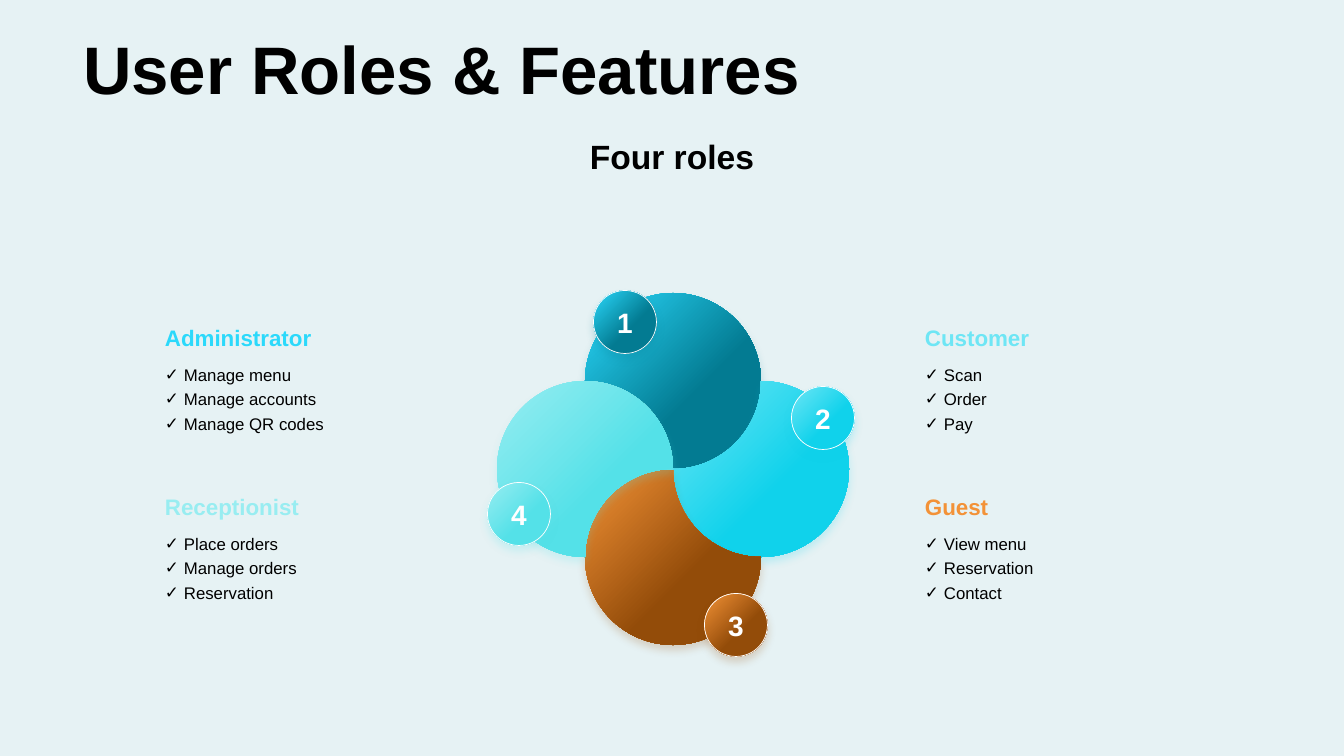
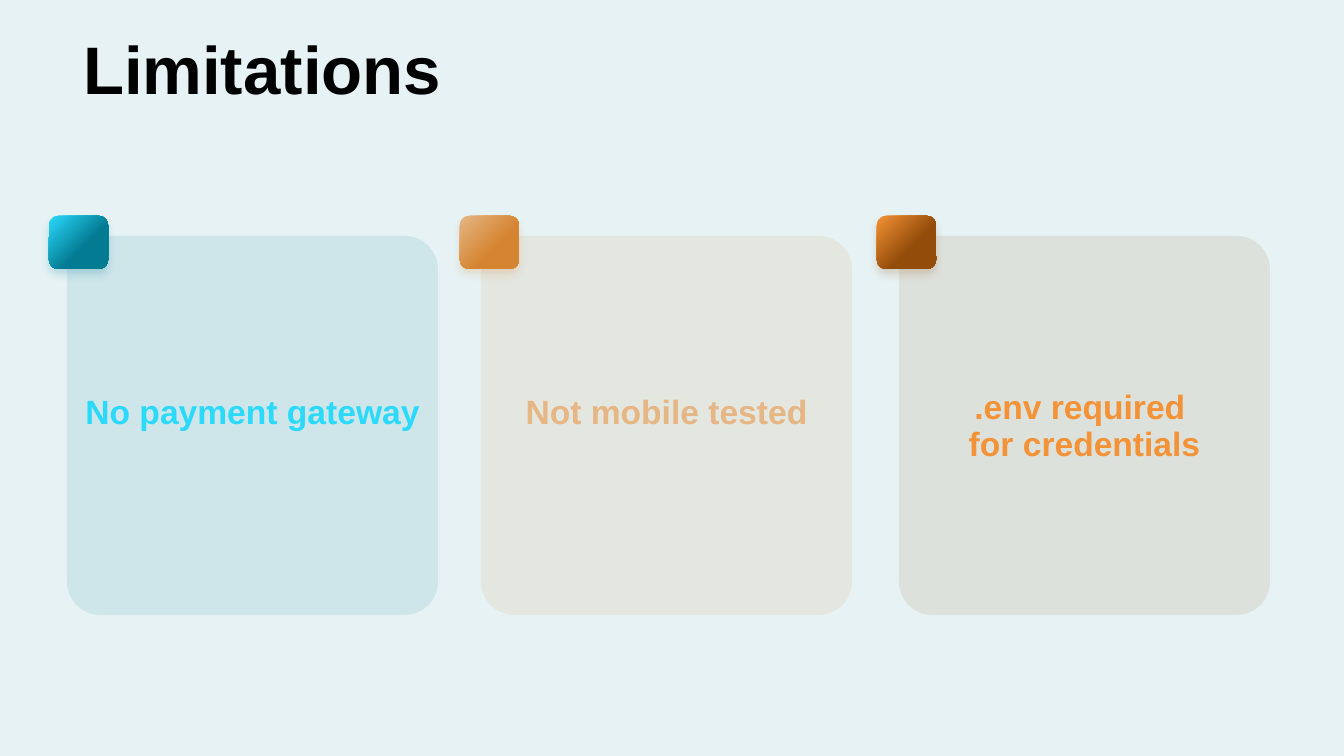
from dataclasses import dataclass
from math import cos, radians, sin

from lxml.etree import SubElement
from pptx import Presentation
from pptx.dml.color import RGBColor
from pptx.enum.shapes import MSO_SHAPE
from pptx.enum.text import MSO_ANCHOR, MSO_AUTO_SIZE, PP_ALIGN
from pptx.oxml import parse_xml
from pptx.oxml.ns import nsdecls, qn
from pptx.util import Pt

EMU_PER_PX = 12192000 / 1344
FONT = "Arial"
COLORS = {"background": "E6F2F4", "text": "000000", "white": "FFFFFF"}
GRADIENTS = {
    "teal": ("2BD9FB", "037B92"),
    "cyan": ("6EE6F5", "10D2EB"),
    "orange": ("F39237", "934C09"),
    "aqua": ("98EDF1", "54E1E8"),
    "sand": ("E6B684", "D58532"),
}


@dataclass
class Role:
    name: str
    features: tuple
    gradient: str
    text_at: tuple
    badge_offset: tuple  # badge centre, from the pinwheel centre


LEFT, RIGHT, UPPER, LOWER = 155, 915, 301, 470
ROLES = [  # clockwise from the top petal
    Role("Administrator", ("Manage menu", "Manage accounts", "Manage QR codes"),
         "teal", (LEFT, UPPER), (-48, -147)),
    Role("Customer", ("Scan", "Order", "Pay"),
         "cyan", (RIGHT, UPPER), (150, -51)),
    Role("Guest", ("View menu", "Reservation", "Contact"),
         "orange", (RIGHT, LOWER), (63, 156)),
    Role("Receptionist", ("Place orders", "Manage orders", "Reservation"),
         "aqua", (LEFT, LOWER), (-154, 45)),
]
LIMITATIONS = [  # card left, tab left, gradient, lines
    (67, 49, "teal", ["No payment gateway"]),
    (481, 460, "sand", ["Not mobile tested"]),
    (899, 877, "orange", [".env required ", "for credentials"]),
]


def px(length):
    return round(length * EMU_PER_PX)


def rgb(color):
    return RGBColor.from_string(color)


def style_text(frame, size, color, bold=False, align=PP_ALIGN.LEFT, spacing=None):
    for paragraph in frame.paragraphs:
        paragraph.alignment = align
        if spacing:
            paragraph.line_spacing = spacing
        for run in paragraph.runs:
            run.font.name = FONT
            run.font.size = Pt(size)
            run.font.bold = bold
            run.font.color.rgb = rgb(color)


def add_text(slide, box, lines, anchor=MSO_ANCHOR.TOP, wrap=True):
    frame = slide.shapes.add_textbox(*map(px, box)).text_frame
    frame.text = "\n".join(lines)
    frame.word_wrap = wrap
    frame.vertical_anchor = anchor
    return frame


def add_check_bullets(frame):
    for paragraph in frame.paragraphs:
        properties = paragraph._p.get_or_add_pPr()
        properties.set("marL", str(px(19)))
        properties.set("indent", str(-px(19)))
        SubElement(properties, qn("a:buFont")).set("typeface", FONT)
        SubElement(properties, qn("a:buChar")).set("char", "✓")


def apply_glow(shape, gradient):
    """Fill with a diagonal gradient and cast a soft shadow in its end colour."""
    shape.fill.gradient()
    shape.fill.gradient_angle = 315
    for stop, position, color in zip(shape.fill.gradient_stops, (0, 0.6), GRADIENTS[gradient]):
        stop.position = position
        stop.color.rgb = rgb(color)
    shape.line.fill.background()
    shape.shadow.inherit = False
    shape._element.spPr.find(qn("a:effectLst")).append(parse_xml(
        f'<a:outerShdw {nsdecls("a")} blurRad="{Pt(6)}" dist="{Pt(4)}" dir="5400000" '
        f'algn="t" rotWithShape="0"><a:srgbClr val="{GRADIENTS[gradient][1]}">'
        '<a:alpha val="20000"/></a:srgbClr></a:outerShdw>'))


def add_titled_slide(prs, title_text):
    slide = prs.slides.add_slide(prs.slide_layouts[5])
    title = slide.shapes.title
    title.left, title.top, title.width, title.height = map(px, (73, 0, 1198, 113))
    frame = title.text_frame
    frame.text = title_text
    frame.auto_size = MSO_AUTO_SIZE.NONE
    frame.word_wrap = True
    frame.vertical_anchor = MSO_ANCHOR.BOTTOM
    style_text(frame, 48, COLORS["text"], bold=True)
    return slide


def arc(center, radius, start, end, step=3):
    """Points on a circle; degrees run clockwise from the right."""
    direction = step if end > start else -step
    return [(center[0] + radius * cos(radians(angle)), center[1] + radius * sin(radians(angle)))
            for angle in range(start, end + direction, direction)]


def add_petal(slide, center, radius, turn, gradient):
    """Draw a disc that touches the centre, cut by the disc before it."""
    def disc_center(angle):
        return arc(center, radius, angle, angle + 3)[0]

    outline = arc(disc_center(turn - 90), radius, turn - 180, turn + 90)
    outline += arc(disc_center(turn - 180), radius, turn, turn - 90)
    points = [(px(x), px(y)) for x, y in outline]
    builder = slide.shapes.build_freeform(*points[0])
    builder.add_line_segments(points[1:], close=True)
    apply_glow(builder.convert_to_shape(), gradient)


def add_badge(slide, center, number, gradient, size=63):
    x, y = center
    badge = slide.shapes.add_shape(
        MSO_SHAPE.OVAL, px(x - size / 2), px(y - size / 2), px(size), px(size))
    apply_glow(badge, gradient)
    badge.line.color.rgb = rgb(COLORS["white"])
    badge.line.width = Pt(0.5)
    frame = badge.text_frame
    frame.text = str(number)
    frame.margin_left = frame.margin_right = frame.margin_top = frame.margin_bottom = 0
    frame.vertical_anchor = MSO_ANCHOR.MIDDLE
    style_text(frame, 20, COLORS["white"], bold=True, align=PP_ALIGN.CENTER)


def add_pinwheel(slide, center, radius):
    for index, role in enumerate(ROLES):
        add_petal(slide, center, radius, index * 90, role.gradient)
        badge_center = [c + offset for c, offset in zip(center, role.badge_offset)]
        add_badge(slide, badge_center, index + 1, role.gradient)


def add_role_text(slide, role):
    left, top = role.text_at
    heading = add_text(slide, (left, top, 341, 55), [role.name], MSO_ANCHOR.BOTTOM, wrap=False)
    style_text(heading, 16, GRADIENTS[role.gradient][0], bold=True)
    features = add_text(slide, (left, top + 55, 341, 82), role.features)
    add_check_bullets(features)
    style_text(features, 12, COLORS["text"], spacing=1.2)


def add_limitation_card(slide, left, tab_left, gradient, lines, top=236):
    width, height = 371, 379
    start, end = GRADIENTS[gradient]
    card = slide.shapes.add_shape(
        MSO_SHAPE.ROUNDED_RECTANGLE, px(left), px(top), px(width), px(height))
    card.adjustments[0] = 0.09
    card.shadow.inherit = False
    card.line.fill.background()
    card.fill.solid()
    card.fill.fore_color.rgb = rgb(end)
    fill_color = card._element.spPr.find(qn("a:solidFill")).find(qn("a:srgbClr"))
    SubElement(fill_color, qn("a:alpha")).set("val", "10000")

    tab = slide.shapes.add_shape(
        MSO_SHAPE.ROUNDED_RECTANGLE, px(tab_left), px(top - 20), px(59), px(53))
    apply_glow(tab, gradient)

    label_height = 58 + 32 * (len(lines) - 1)
    label = add_text(slide, (left, top + 146, width, label_height), lines,
                     MSO_ANCHOR.MIDDLE, wrap=False)
    style_text(label, 24, start, bold=True, align=PP_ALIGN.CENTER,
               spacing=0.9 if len(lines) > 1 else None)


def build_roles_slide(prs):
    slide = add_titled_slide(prs, "User Roles & Features")
    subtitle = add_text(slide, (73, 131, 1198, 50), ["Four roles"], MSO_ANCHOR.BOTTOM)
    style_text(subtitle, 24, COLORS["text"], bold=True, align=PP_ALIGN.CENTER)
    add_pinwheel(slide, (673, 469), 88)
    for role in ROLES:
        add_role_text(slide, role)


def build_limitations_slide(prs):
    slide = add_titled_slide(prs, "Limitations")
    for limitation in LIMITATIONS:
        add_limitation_card(slide, *limitation)


def main():
    prs = Presentation()
    prs.slide_width, prs.slide_height = px(1344), px(756)
    background = prs.slide_master.background.fill
    background.solid()
    background.fore_color.rgb = rgb(COLORS["background"])
    build_roles_slide(prs)
    build_limitations_slide(prs)
    prs.save("out.pptx")


if __name__ == "__main__":
    main()
